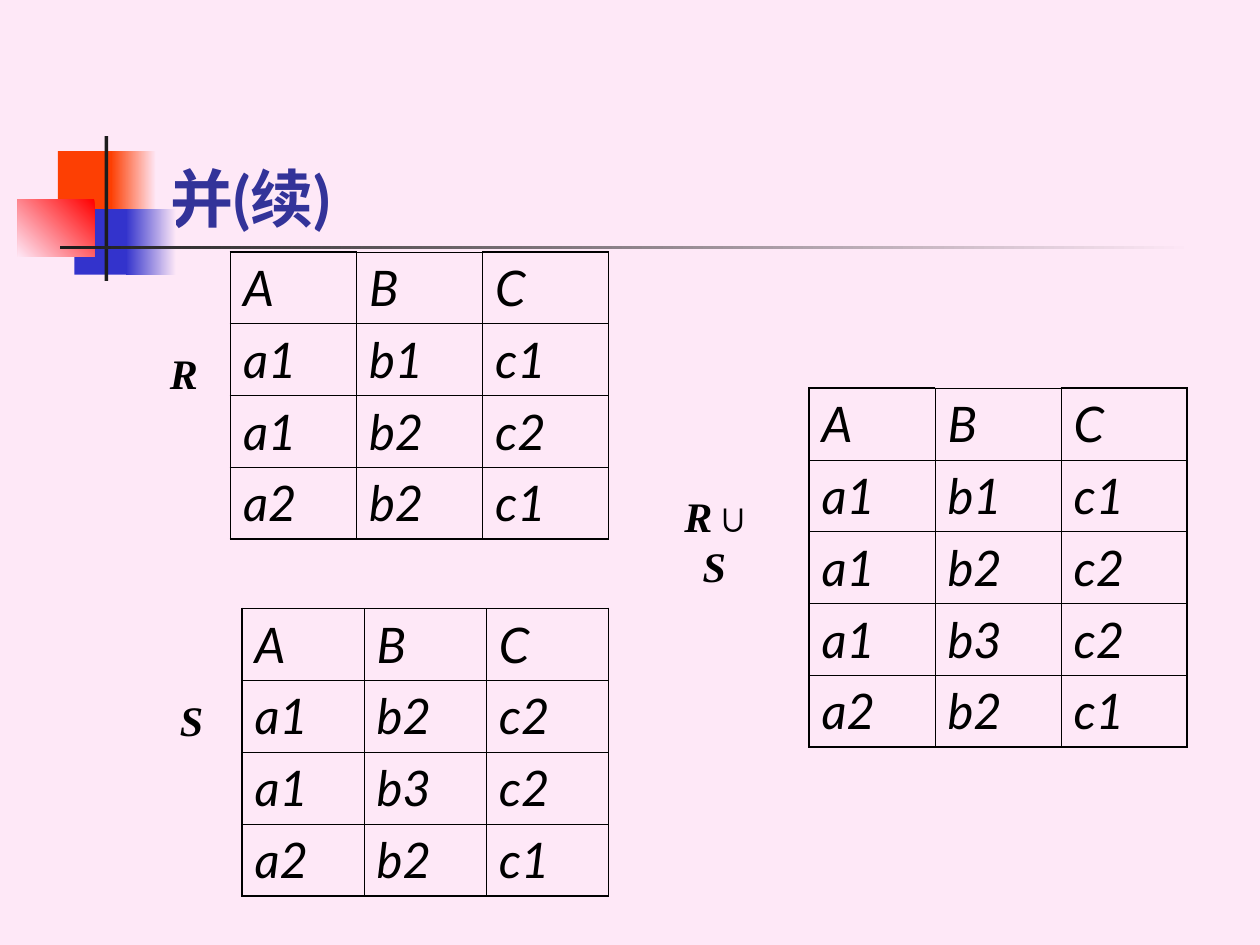
from lxml import etree
from pptx import Presentation
from pptx.dml.color import RGBColor
from pptx.enum.shapes import MSO_SHAPE
from pptx.enum.text import MSO_ANCHOR, PP_ALIGN
from pptx.oxml.ns import qn
from pptx.util import Inches, Pt

RECTANGLE = MSO_SHAPE.RECTANGLE
BOTTOM, MIDDLE = MSO_ANCHOR.BOTTOM, MSO_ANCHOR.MIDDLE
LEFT, CENTER = PP_ALIGN.LEFT, PP_ALIGN.CENTER

# Content
TITLE = "并(续)"
HEADER = ("A", "B", "C")
RELATIONS = [  # left, top, column width, rows
    (1.83, 2, 1, [HEADER, ("a1", "b1", "c1"), ("a1", "b2", "c2"),
                  ("a2", "b2", "c1")]),
    (6.42, 3.08, 1, [HEADER, ("a1", "b1", "c1"), ("a1", "b2", "c2"),
                     ("a1", "b3", "c2"), ("a2", "b2", "c1")]),
    (1.92, 4.83, 0.97, [HEADER, ("a1", "b2", "c2"), ("a1", "b3", "c2"),
                        ("a2", "b2", "c1")]),
]
LABELS = [  # left, top, width, (text, italic) spans
    (1.25, 2.5, 0.33, [("R", True)]),
    (1.33, 5.25, 0.33, [("S", True)]),
    (5.25, 3.83, 0.92, [("R", True), ("∪", False), ("S ", True)]),
]

# Look
PINK, ORANGE, BLUE, RED = "FEE8F7", "FD3F03", "3333CC", "FF0000"
NAVY, CHARCOAL, BLACK = "333399", "1C1C1C", "000000"
ROW_HEIGHT, LABEL_HEIGHT = 0.57, 0.92
THIN, THICK = 0.45, 1.08
ORNAMENTS = [  # left, top, width, height, colours, counterclockwise angle
    (0.46, 1.2, 0.48, 0.52, (ORANGE,), 0),
    (0.88, 1.2, 0.36, 0.52, (PINK, ORANGE), 180),
    (0.59, 1.66, 0.46, 0.52, (BLUE,), 0),
    (1, 1.66, 0.4, 0.52, (PINK, BLUE), 180),
    (0.14, 1.58, 0.61, 0.46, (RED, PINK), 225),
    (0.83, 1.08, 0.03, 1.15, (CHARCOAL,), 0),
    (0.48, 1.95, 9, 0.03, (PINK, CHARCOAL), 180),
]


def paint(color_format, color):
    color_format.rgb = RGBColor.from_string(color)


def set_font(font, name, size, color, bold=False):
    font.name, font.size, font.bold = name, Pt(size), bold
    paint(font.color, color)


def add_ornament(page, left, top, width, height, colors, angle):
    shape = page.shapes.add_shape(RECTANGLE, Inches(left), Inches(top),
                                  Inches(width), Inches(height))
    shape.shadow.inherit = False
    shape.line.fill.background()
    if len(colors) == 1:
        shape.fill.solid()
        paint(shape.fill.fore_color, colors[0])
        return
    shape.fill.gradient()
    shape.fill.gradient_angle = angle
    for position, (stop, color) in enumerate(zip(shape.fill.gradient_stops, colors)):
        stop.position = position
        paint(stop.color, color)


def set_borders(cell, widths):
    properties = cell._tc.get_or_add_tcPr()
    for side, width in widths.items():
        line = etree.SubElement(properties, qn(f"a:ln{side}"), w=str(Pt(width)))
        fill = etree.SubElement(line, qn("a:solidFill"))
        etree.SubElement(fill, qn("a:srgbClr"), val=BLACK)


def add_relation(page, left, top, column_width, rows):
    last_row, last_column = len(rows) - 1, len(HEADER) - 1
    table = page.shapes.add_table(
        len(rows), len(HEADER), Inches(left), Inches(top),
        Inches(column_width * len(HEADER)), Inches(ROW_HEIGHT * len(rows))).table
    table.first_row = table.horz_banding = False
    for column in table.columns:
        column.width = Inches(column_width)
    for r, values in enumerate(rows):
        table.rows[r].height = Inches(ROW_HEIGHT)
        for c, value in enumerate(values):
            cell = table.cell(r, c)
            # Outer edges are thick, save above the middle heading
            thick = {"L": c == 0, "R": c == last_column,
                     "T": r == 0 and c in (0, last_column), "B": r == last_row}
            set_borders(cell, {side: THICK if on else THIN
                               for side, on in thick.items()})
            cell.fill.background()
            cell.text = value
            para = cell.text_frame.paragraphs[0]
            para.space_before = Pt(7)
            set_font(para.font, "Lato", 28, BLACK)
            para.font.italic = True


def add_label(page, left, top, width, spans):
    box = page.shapes.add_textbox(Inches(left), Inches(top), Inches(width),
                                  Inches(LABEL_HEIGHT))
    frame = box.text_frame
    frame.word_wrap = False
    frame.vertical_anchor = MIDDLE
    para = frame.paragraphs[0]
    para.alignment = CENTER
    set_font(para.font, "Times New Roman", 24, BLACK, bold=True)
    for text, italic in spans:
        span = para.add_run()
        span.text = text
        span.font.italic = italic


def main():
    deck = Presentation()
    deck.slide_width, deck.slide_height = Inches(10), Inches(7.5)
    page = deck.slides.add_slide(deck.slide_layouts[5])
    page.background.fill.solid()
    paint(page.background.fill.fore_color, PINK)

    # Corner ornament and rule
    for ornament in ORNAMENTS:
        add_ornament(page, *ornament)

    # Title
    title = page.shapes.title
    title.left, title.top = Inches(1.25), Inches(0.67)
    title.width, title.height = Inches(8.52), Inches(1.25)
    title.text_frame.text = TITLE
    title.text_frame.vertical_anchor = BOTTOM
    para = title.text_frame.paragraphs[0]
    para.alignment = LEFT
    set_font(para.font, "Lato", 36, NAVY, bold=True)

    # Relations and their names
    for relation in RELATIONS:
        add_relation(page, *relation)
    for label in LABELS:
        add_label(page, *label)

    deck.save("out.pptx")


if __name__ == "__main__":
    main()
